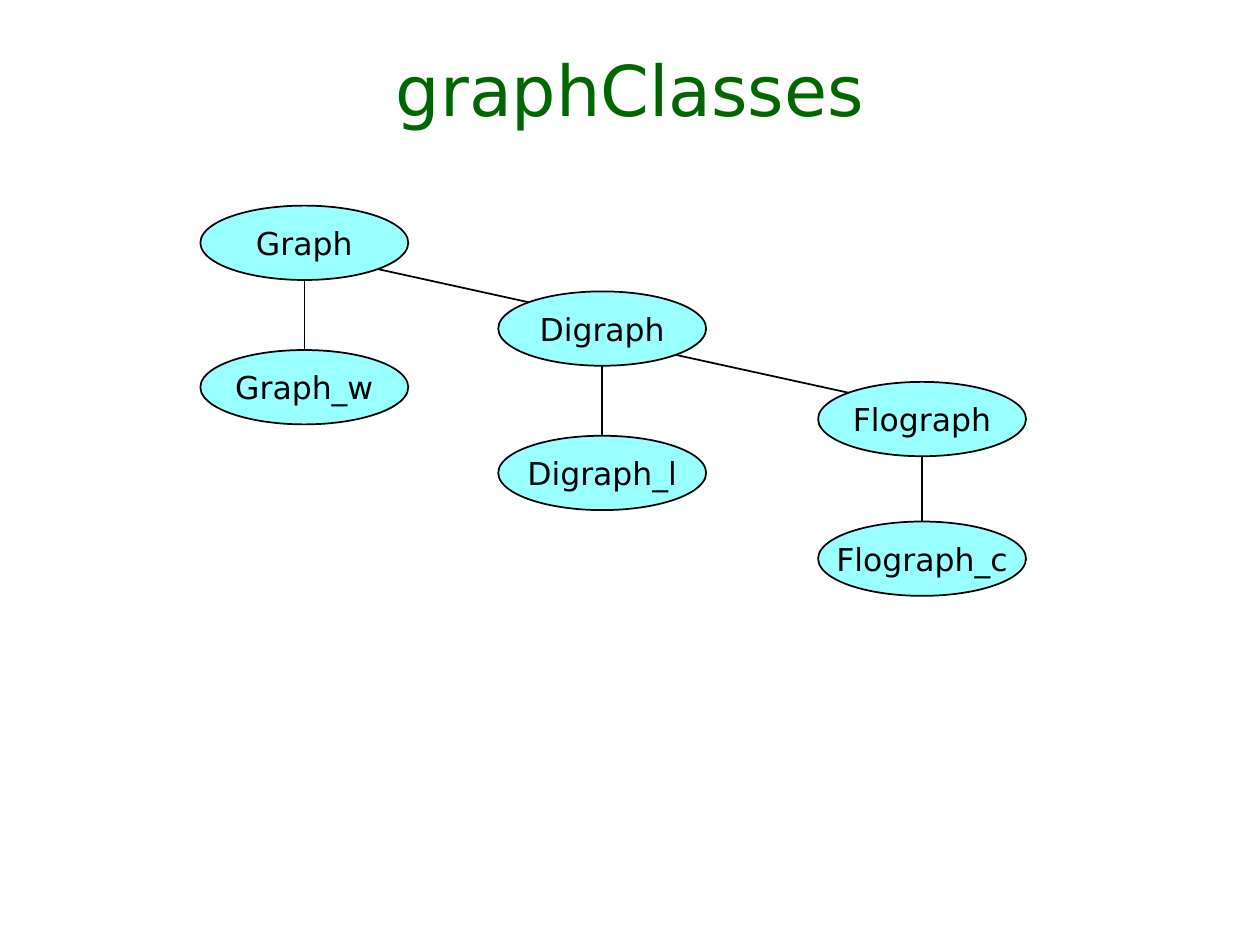
from dataclasses import dataclass
from itertools import pairwise
from math import sqrt

from lxml import etree
from pptx import Presentation
from pptx.dml.color import RGBColor
from pptx.enum.shapes import MSO_CONNECTOR, MSO_SHAPE
from pptx.enum.text import MSO_ANCHOR, PP_ALIGN
from pptx.oxml.ns import qn
from pptx.util import Pt

ELLIPSE = MSO_SHAPE.OVAL
STRAIGHT = MSO_CONNECTOR.STRAIGHT
CENTER = PP_ALIGN.CENTER
MIDDLE = MSO_ANCHOR.MIDDLE
BLANK_LAYOUT = 6

NODE_WIDTH, NODE_HEIGHT = 118.8, 42.5
DIAGONAL_X = NODE_WIDTH / 2 / sqrt(2)
DIAGONAL_Y = NODE_HEIGHT / 2 / sqrt(2)


@dataclass(frozen=True)
class Theme:
    font: str = "DejaVu Sans"
    title_size: float = 40
    node_size: float = 18
    title_color: RGBColor = RGBColor(0x00, 0x66, 0x00)
    node_fill: RGBColor = RGBColor(0x99, 0xFF, 0xFF)
    ink: RGBColor = RGBColor(0x00, 0x00, 0x00)
    line_width: float = 1
    thin_line_width: float = 0.75


@dataclass(frozen=True)
class Node:
    name: str
    left: float
    top: float

    @property
    def center(self) -> tuple[float, float]:
        return self.left + NODE_WIDTH / 2, self.top + NODE_HEIGHT / 2


@dataclass(frozen=True)
class Family:
    """A class and the variant drawn below it."""
    base: Node
    variant: Node
    link_width: float


THEME = Theme()
FAMILIES = [
    Family(Node("Graph", 114.5, 117.5), Node("Graph_w", 114.5, 200),
           THEME.thin_line_width),
    Family(Node("Digraph", 284.7, 166.5), Node("Digraph_l", 284.7, 249),
           THEME.line_width),
    Family(Node("Flograph", 467.5, 218.2), Node("Flograph_c", 467.5, 298),
           THEME.line_width),
]


def write_text(shape, text: str, size: float, color: RGBColor, wrap: bool) -> None:
    frame = shape.text_frame
    settings = {"word_wrap": wrap, "vertical_anchor": MIDDLE, "margin_left": 0,
                "margin_right": 0, "margin_top": 0, "margin_bottom": 0}
    for name, value in settings.items():
        setattr(frame, name, value)
    paragraph = frame.paragraphs[0]
    paragraph.alignment = CENTER
    run = paragraph.add_run()
    run.text = text
    for name, value in {"name": THEME.font, "size": Pt(size)}.items():
        setattr(run.font, name, value)
    run.font.color.rgb = color


def draw_title(slide, text: str) -> None:
    title = slide.shapes.add_textbox(Pt(36), Pt(21.6), Pt(648), Pt(58.3))
    write_text(title, text, THEME.title_size, THEME.title_color, True)


def draw_node(slide, node: Node) -> None:
    shape = slide.shapes.add_shape(
        ELLIPSE, Pt(node.left), Pt(node.top), Pt(NODE_WIDTH), Pt(NODE_HEIGHT))
    shape.shadow.inherit = False
    shape.fill.solid()
    shape.fill.fore_color.rgb = THEME.node_fill
    shape.line.color.rgb = THEME.ink
    shape.line.width = Pt(THEME.line_width)
    write_text(shape, node.name, THEME.node_size, THEME.ink, False)


def draw_link(slide, start: tuple[float, float], end: tuple[float, float],
              width: float) -> None:
    link = slide.shapes.add_connector(
        STRAIGHT, *(Pt(value) for value in (*start, *end)))
    link.line.color.rgb = THEME.ink
    link.line.width = Pt(width)
    etree.SubElement(link._element.spPr, qn("a:effectLst"))


def draw_variant_link(slide, family: Family) -> None:
    middle = family.base.center[0]
    draw_link(slide, (middle, family.base.top + NODE_HEIGHT),
              (middle, family.variant.top), family.link_width)


def draw_inheritance_link(slide, parent: Node, child: Node) -> None:
    """Join the parent's lower right to the child's upper left."""
    parent_x, parent_y = parent.center
    child_x, child_y = child.center
    draw_link(slide, (parent_x + DIAGONAL_X, parent_y + DIAGONAL_Y),
              (child_x - DIAGONAL_X, child_y - DIAGONAL_Y), THEME.line_width)


def main() -> None:
    presentation = Presentation()
    presentation.slide_width = Pt(720)
    presentation.slide_height = Pt(540)
    slide = presentation.slides.add_slide(presentation.slide_layouts[BLANK_LAYOUT])

    draw_title(slide, "graphClasses")
    for family in FAMILIES:
        draw_node(slide, family.base)
        draw_node(slide, family.variant)
        draw_variant_link(slide, family)
    for parent, child in pairwise(FAMILIES):
        draw_inheritance_link(slide, parent.base, child.base)

    presentation.save("out.pptx")


if __name__ == "__main__":
    main()
